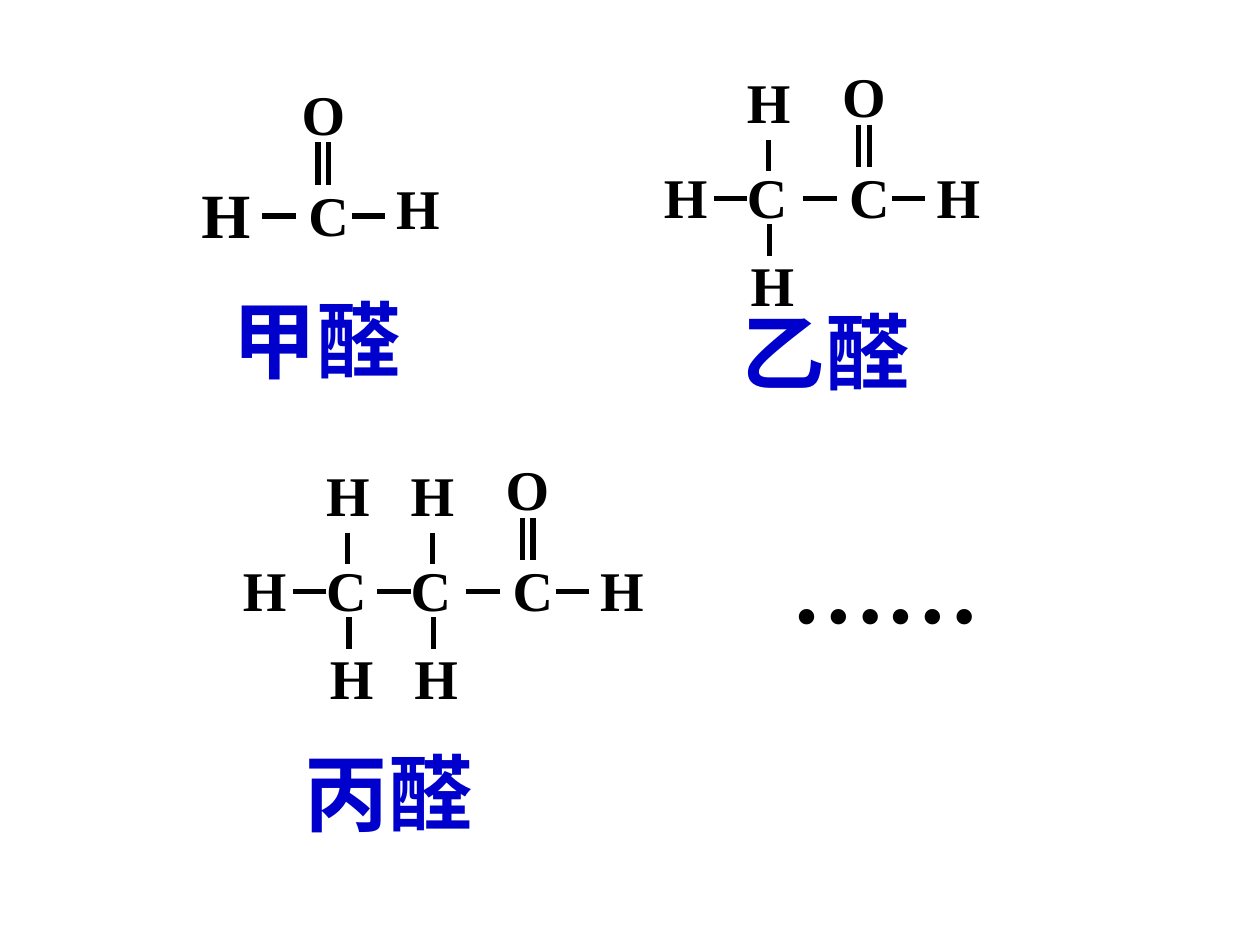
from dataclasses import dataclass

from lxml.etree import SubElement
from pptx import Presentation
from pptx.dml.color import RGBColor as Color
from pptx.enum.shapes import MSO_CONNECTOR as Connector
from pptx.enum.text import MSO_AUTO_SIZE as AutoSize
from pptx.oxml.ns import qn
from pptx.util import Inches, Pt

COLUMNS, ROWS = 100, 75
CELL = Inches(0.1)


@dataclass(frozen=True)
class Theme:
    font: str = "Times New Roman"
    ink: str = "000000"
    blue: str = "0000CC"
    atom: int = 32
    large_atom: int = 36
    name: int = 48
    dots: int = 54
    bond: int = 3


@dataclass(frozen=True)
class Box:
    left: float
    top: float
    width: float
    height: float


THEME = Theme()


def cells(*counts):
    return [round(count * CELL) for count in counts]


def add_text(shapes, box, text, size, color=THEME.ink, wrap=True):
    frame = shapes.add_textbox(*cells(box.left, box.top, box.width, box.height)).text_frame
    for key, value in {"word_wrap": wrap, "auto_size": AutoSize.SHAPE_TO_FIT_TEXT}.items():
        setattr(frame, key, value)
    span = frame.paragraphs[0].add_run()
    span.text = text
    for key, value in {"name": THEME.font, "size": Pt(size), "bold": True}.items():
        setattr(span.font, key, value)
    span.font.color.rgb = Color.from_string(color)


def add_atom(shapes, symbol, left, top, width=4.3, size=THEME.atom, wrap=True):
    add_text(shapes, Box(left, top, width, size / 5), symbol, size, wrap=wrap)


def add_bond(shapes, left, top, across=0, down=0):
    ends = cells(left, top, left + across, top + down)
    bond = shapes.add_connector(Connector.STRAIGHT, *ends)
    bond.line.width = Pt(THEME.bond)
    bond.line.color.rgb = Color.from_string(THEME.ink)
    SubElement(bond.element.spPr, qn("a:effectLst"))


def add_carbonyl(shapes, left, top, end_top):
    add_atom(shapes, "C", left, top)
    for offset in (1.75, 2.6):
        add_bond(shapes, left + offset, top - 2.5, down=3.35)
    add_atom(shapes, "O", left - 0.55, top - 8, 7)
    add_bond(shapes, left - 2.7, top + 3.35, across=2.7)
    add_bond(shapes, left + 4.4, top + 3.35, across=2.65)
    add_atom(shapes, "H", left + 6.95, end_top)


def add_saturated_carbon(shapes, left, top):
    add_atom(shapes, "H", left, top - 7.5, 5.2)
    add_bond(shapes, left + 2.7, top - 1.3, down=2.5)
    add_atom(shapes, "C", left, top, 3.5)
    add_bond(shapes, left - 1.65, top + 3.35, across=2.65)
    add_bond(shapes, left + 2.8, top + 5.4, down=2.5)
    add_atom(shapes, "H", left + 0.3, top + 7, 5.6)


def add_aldehyde(page, box, saturated):
    shapes = page.shapes.add_group_shape().shapes
    first, pitch, row = 6.6, 6.7, box.top + 8
    if saturated:
        add_atom(shapes, "H", box.left, row)
        for index in range(saturated):
            add_saturated_carbon(shapes, box.left + first + index * pitch, row)
        carbonyl = box.left + first + (saturated - 1) * pitch + 8.1
        end_top = row
    else:
        add_atom(shapes, "H", box.left, row - 0.4, 5.9, THEME.large_atom, wrap=False)
        carbonyl = box.left + 8.5
        end_top = row - 0.5
    add_carbonyl(shapes, carbonyl, row, end_top)


def add_name(page, box, name):
    add_text(page.shapes, box, name, THEME.name, THEME.blue)


def main():
    deck = Presentation()
    deck.slide_width, deck.slide_height = cells(COLUMNS, ROWS)
    page = deck.slides.add_slide(deck.slide_layouts[6])
    aldehydes = [
        ("甲醛", 0, Box(15, 5.8, 20, 14.6), Box(17.5, 22.4, 20.7, 9)),
        ("乙醛", 1, Box(51.7, 4.4, 25.8, 21.4), Box(57.9, 23.4, 28.4, 9)),
        ("丙醛", 2, Box(18.3, 35.6, 32.5, 21.4), Box(23.2, 58.4, 29.2, 9)),
    ]
    for name, saturated, formula_box, name_box in aldehydes:
        add_aldehyde(page, formula_box, saturated)
        add_name(page, name_box, name)
    add_text(page.shapes, Box(61.8, 41.5, 17, 10), "……", THEME.dots, wrap=False)
    deck.save("out.pptx")


if __name__ == "__main__":
    main()
